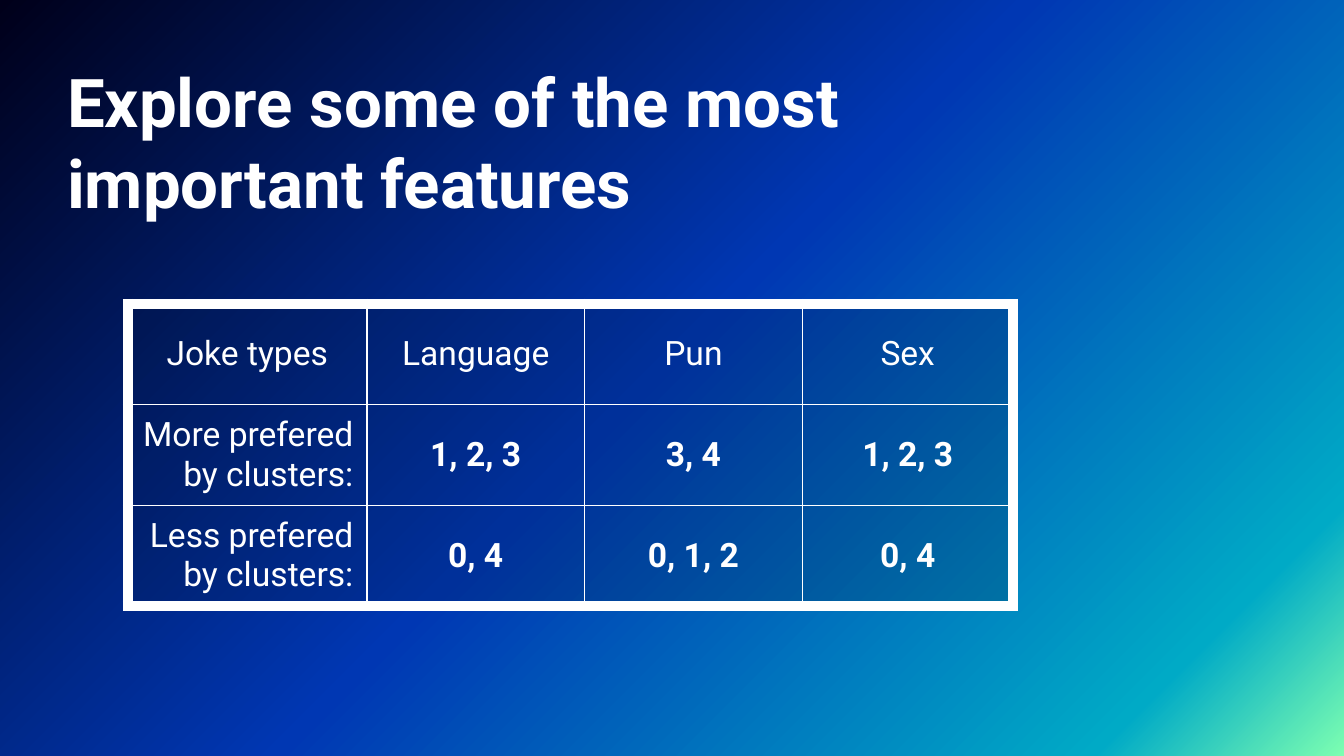
from lxml import etree
from pptx import Presentation
from pptx.dml.color import RGBColor
from pptx.enum.text import MSO_ANCHOR, PP_ALIGN
from pptx.oxml import parse_xml
from pptx.oxml.ns import nsdecls, qn
from pptx.util import Inches, Pt

BOTTOM, MIDDLE = MSO_ANCHOR.BOTTOM, MSO_ANCHOR.MIDDLE
LEFT, CENTER, RIGHT = PP_ALIGN.LEFT, PP_ALIGN.CENTER, PP_ALIGN.RIGHT

FONT = "Roboto"
COLORS = {
    "white": "FFFFFF",
    "cell": "001230",
    "mint": "7DFFB1",
    "teal": "00AAC6",
    "blue": "0037B3",
    "night": "00001A",
}
GRADIENT = [(0, "mint"), (12, "teal"), (51, "blue"), (100, "night")]
GRADIENT_ANGLE = 225
CELL_OPACITY = 19
THICK, THIN = 6, 0.75

COLUMN_WIDTHS = [1.78, 1.62, 1.62, 1.57]
ROW_HEIGHT = 0.75
ROWS = [
    ["Joke types", "Language", "Pun", "Sex"],
    ["More prefered by clusters:", "1, 2, 3", "3, 4", "1, 2, 3"],
    ["Less prefered by clusters:", "0, 4", "0, 1, 2", "0, 4"],
]


def set_background(slide):
    """Fill the slide with the diagonal gradient."""
    fill = slide.background.fill
    fill.gradient()
    stops = "".join(
        f'<a:gs pos="{position * 1000}"><a:srgbClr val="{COLORS[name]}"/></a:gs>'
        for position, name in GRADIENT
    )
    gradient = parse_xml(
        f'<a:gradFill {nsdecls("a")} rotWithShape="1"><a:gsLst>{stops}</a:gsLst>'
        f'<a:lin ang="{GRADIENT_ANGLE * 60000}" scaled="0"/></a:gradFill>'
    )
    old = next(slide.background._cSld.iter(qn("a:gradFill")))
    old.getparent().replace(old, gradient)


def write_text(text_frame, text, size, bold, alignment):
    """Write one white run into the first paragraph of a text frame."""
    text_frame.word_wrap = True
    paragraph = text_frame.paragraphs[0]
    paragraph.alignment = alignment
    run = paragraph.add_run()
    run.text = text
    run.font.name = FONT
    run.font.size = Pt(size)
    run.font.bold = bold
    run.font.color.rgb = RGBColor.from_string(COLORS["white"])


def add_title(slide, text):
    """Add the bottom-anchored title without insets."""
    box = slide.shapes.add_textbox(Inches(0.5), Inches(0.48), Inches(6.06), Inches(1.17))
    frame = box.text_frame
    frame.margin_left = frame.margin_right = frame.margin_top = frame.margin_bottom = 0
    frame.vertical_anchor = BOTTOM
    write_text(frame, text, 36, True, LEFT)


def set_borders(cell, widths):
    """Draw white borders, given as left, right, top and bottom widths."""
    properties = cell._tc.get_or_add_tcPr()
    for index, (side, width) in enumerate(zip("LRTB", widths)):
        line = parse_xml(
            f'<a:ln{side} {nsdecls("a")} w="{Pt(width)}" cap="flat" cmpd="sng">'
            f'<a:solidFill><a:srgbClr val="{COLORS["white"]}"/></a:solidFill>'
            f'<a:prstDash val="solid"/></a:ln{side}>'
        )
        properties.insert(index, line)


def fill_cell(cell):
    """Give a cell its translucent dark fill."""
    cell.fill.solid()
    cell.fill.fore_color.rgb = RGBColor.from_string(COLORS["cell"])
    color = cell._tc.tcPr.find(f'{qn("a:solidFill")}/{qn("a:srgbClr")}')
    etree.SubElement(color, qn("a:alpha")).set("val", str(CELL_OPACITY * 1000))


def add_joke_table(slide):
    """Add the table of joke types with a thick outer frame."""
    last_row, last_column = len(ROWS) - 1, len(COLUMN_WIDTHS) - 1
    table = slide.shapes.add_table(
        len(ROWS), len(COLUMN_WIDTHS), Inches(0.95), Inches(2.26),
        Inches(sum(COLUMN_WIDTHS)), Inches(ROW_HEIGHT * len(ROWS)),
    ).table
    table.first_row = table.horz_banding = False
    for column, width in zip(table.columns, COLUMN_WIDTHS):
        column.width = Inches(width)
    for row_index, texts in enumerate(ROWS):
        table.rows[row_index].height = Inches(ROW_HEIGHT)
        for column_index, text in enumerate(texts):
            cell = table.cell(row_index, column_index)
            cell.vertical_anchor = MIDDLE
            cell.margin_left = cell.margin_right = Inches(0.1)
            cell.margin_top = cell.margin_bottom = Inches(0.07)
            is_row_label = row_index > 0 and column_index == 0
            is_value = row_index > 0 and column_index > 0
            write_text(cell.text_frame, text, 18, is_value, RIGHT if is_row_label else CENTER)
            fill_cell(cell)
            outer = [column_index == 0, column_index == last_column,
                     row_index == 0, row_index == last_row]
            set_borders(cell, [THICK if edge else THIN for edge in outer])


def main():
    """Build the slide and save it."""
    presentation = Presentation()
    presentation.slide_width = Inches(10)
    presentation.slide_height = Inches(10) * 9 // 16
    slide = presentation.slides.add_slide(presentation.slide_layouts[6])
    set_background(slide)
    add_title(slide, "Explore some of the most important features")
    add_joke_table(slide)
    presentation.save("out.pptx")


if __name__ == "__main__":
    main()
